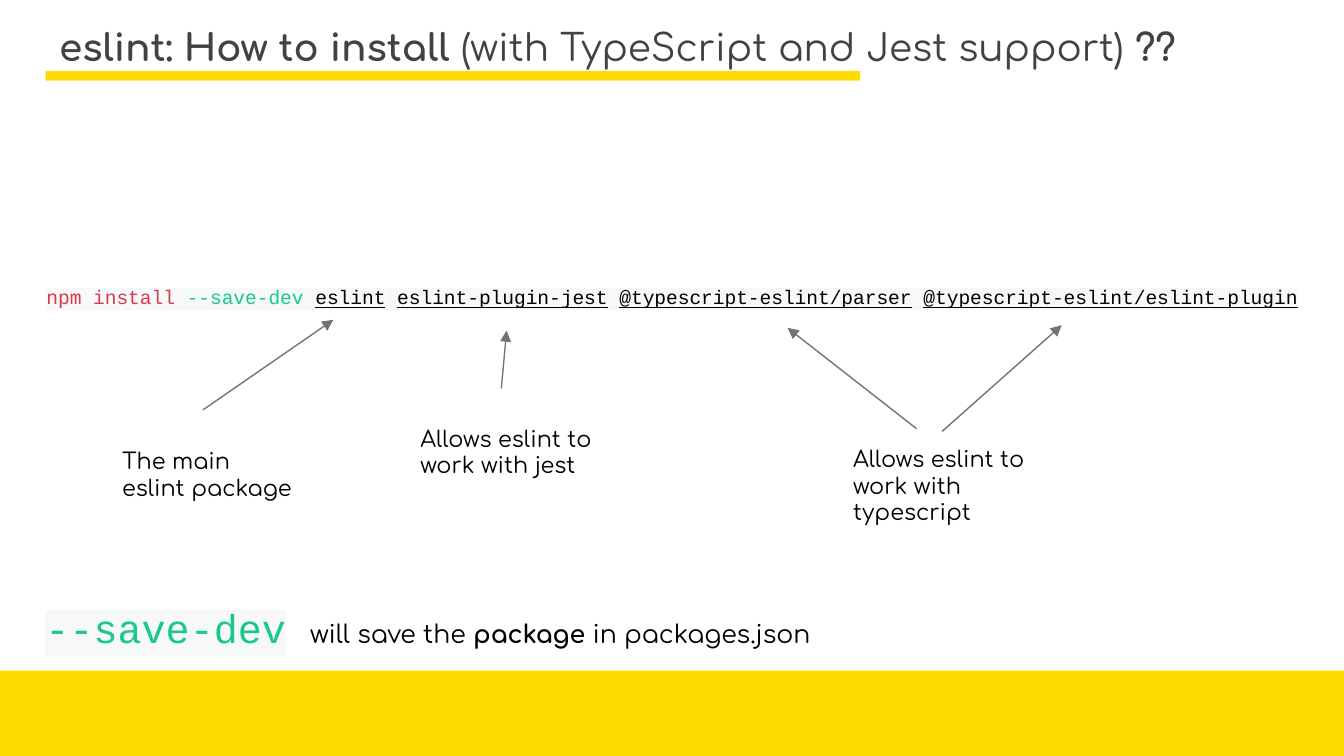
from lxml import etree
from pptx import Presentation
from pptx.dml.color import RGBColor
from pptx.enum.shapes import MSO_CONNECTOR, MSO_SHAPE
from pptx.enum.text import MSO_ANCHOR as ANCHOR, MSO_AUTO_SIZE as AUTO, PP_ALIGN as ALIGN
from pptx.oxml.ns import qn
from pptx.util import Inches, Pt

COLORS = {"yellow": "FFDC00", "title": "424242", "text": "000000", "arrow": "737373",
          "red": "D73A49", "green": "1AC987", "code_bg": "F6F8FA", "white": "FFFFFF"}
SANS, MONO = "Comfortaa", "Courier New"

# Content: each run is (text, format changes)
TITLE = [("eslint: How to install ", {"bold": True}),
         ("(with TypeScript and Jest support)", {}),
         (" ??", {"bold": True})]

PLAIN, LINKED = {"color": "text"}, {"color": "text", "underline": True}
COMMAND = [("npm install ", {}), ("--save-dev", {"color": "green"}), (" ", {}),
           ("eslint", LINKED), (" ", PLAIN),
           ("eslint-plugin-jest", LINKED), (" ", {}),
           ("@typescript-eslint/parser", LINKED), (" ", {}),
           ("@typescript-eslint/eslint-plugin", LINKED)]

FLAG = {"size": 21.5, "font": MONO, "color": "green"}
FOOTNOTE = [("--save-dev", {**FLAG, "highlight": "code_bg"}),
            (" ", {**FLAG, "highlight": "white"}),
            ("will save the ", {}), ("package ", {"bold": True}),
            ("in packages.json", {})]

# Notes: text, left, top, height, arrows as (from, to)
NOTES = [
    ("The main eslint package", 0.81, 3.23, 0.61, [((1.51, 3.05), (2.48, 2.38))]),
    ("Allows eslint to work with jest", 3.03, 3.06, 0.61, [((3.73, 2.89), (3.77, 2.46))]),
    ("Allows eslint to work with typescript", 6.25, 3.21, 0.81,
     [((6.82, 3.19), (5.86, 2.44)), ((7.01, 3.21), (7.9, 2.42))]),
]
NOTE_WIDTH = 1.51


def rgb(name):
    return RGBColor.from_string(COLORS[name])


def add_run(p, text, size=12, font=SANS, color="text", bold=False,
            underline=False, highlight=None):
    r = p.add_run()
    r.text = text
    f = r.font
    f.size, f.name, f.bold, f.underline = Pt(size), font, bold, underline
    f.color.rgb = rgb(color)
    if highlight:
        mark = etree.Element(qn("a:highlight"))
        etree.SubElement(mark, qn("a:srgbClr"), val=COLORS[highlight])
        r._r.rPr.find(qn("a:solidFill")).addnext(mark)


def write(sp, runs, align=ALIGN.LEFT, anchor=ANCHOR.TOP, spacing=None,
          fit=AUTO.SHAPE_TO_FIT_TEXT, **base):
    tf = sp.text_frame
    tf.word_wrap, tf.auto_size, tf.vertical_anchor = True, fit, anchor
    tf.margin_left = tf.margin_right = tf.margin_top = tf.margin_bottom = Inches(0.1)
    p = tf.paragraphs[0]
    p.alignment, p.line_spacing = align, spacing
    for text, changes in runs:
        add_run(p, text, **{**base, **changes})


def add_text(s, box, runs, **fmt):
    write(s.shapes.add_textbox(*map(Inches, box)), runs, **fmt)


def add_bar(s, box):
    sp = s.shapes.add_shape(MSO_SHAPE.RECTANGLE, *map(Inches, box))
    sp.shadow.inherit = False
    sp.fill.solid()
    sp.fill.fore_color.rgb = rgb("yellow")
    sp.line.fill.background()


def add_arrow(s, start, end):
    line = s.shapes.add_connector(MSO_CONNECTOR.STRAIGHT, *map(Inches, start + end))
    line.line.color.rgb = rgb("arrow")
    line.line.width = Pt(0.75)
    etree.SubElement(line.line._get_or_add_ln(), qn("a:tailEnd"), type="triangle")
    etree.SubElement(line._element.spPr, qn("a:effectLst"))


# Widescreen 16:9
prs = Presentation()
prs.slide_width = Inches(10)
prs.slide_height = prs.slide_width * 9 // 16
s = prs.slides.add_slide(prs.slide_layouts[5])

# Title with its underline, and the bottom band
title = s.shapes.title
title.left, title.top, title.width, title.height = map(Inches, (0.34, 0.14, 9.32, 0.47))
write(title, TITLE, anchor=ANCHOR.BOTTOM, spacing=0.8, fit=AUTO.NONE,
      size=20, color="title")
add_bar(s, (0.34, 0.53, 6.06, 0.07))
add_bar(s, (0, 4.99, 10, 0.64))

# Install command and the remark on its flag
add_text(s, (0.04, 2.03, 9.92, 0.38), COMMAND, align=ALIGN.CENTER,
         size=10.5, font=MONO, color="red", highlight="code_bg")
add_text(s, (0.24, 4.39, 8.6, 0.56), FOOTNOTE, size=13.5)

# Notes pointing at the packages
for text, left, top, height, arrows in NOTES:
    add_text(s, (left, top, NOTE_WIDTH, height), [(text, {})])
    for start, end in arrows:
        add_arrow(s, start, end)

prs.save("out.pptx")
